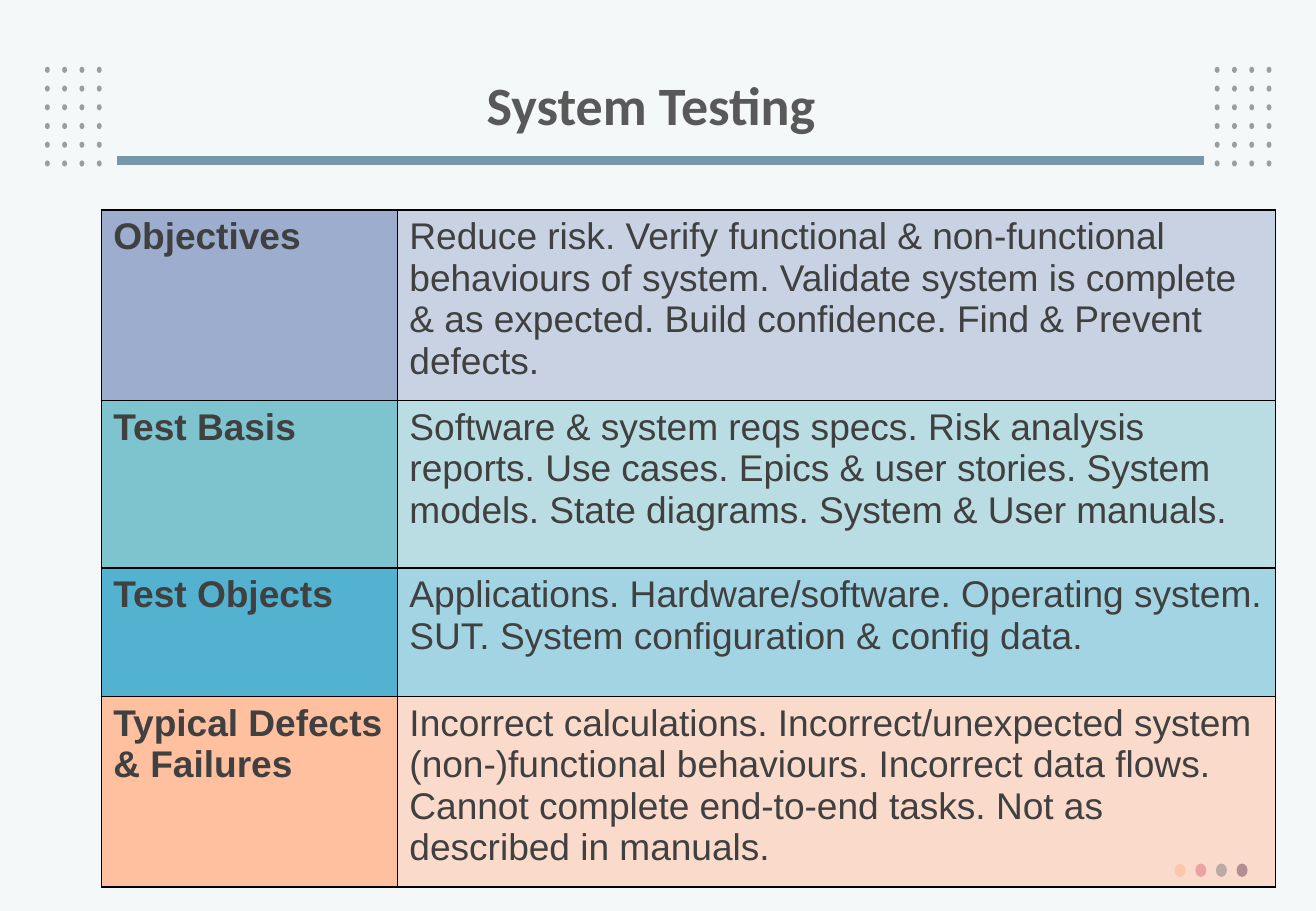
from dataclasses import dataclass
from typing import NamedTuple

from lxml.etree import SubElement
from pptx import Presentation
from pptx.dml.color import RGBColor as Rgb
from pptx.enum.shapes import MSO_CONNECTOR as Connector, MSO_SHAPE as Preset
from pptx.enum.text import MSO_ANCHOR as Anchor, PP_ALIGN as Align
from pptx.oxml.ns import qn
from pptx.slide import Slide
from pptx.table import _Cell as Cell
from pptx.text.text import _Paragraph as Paragraph
from pptx.util import Pt


@dataclass(frozen=True)
class Theme:
    background: str = "F5F8F9"
    dot: str = "9D9D9D"
    rule: str = "7897AB"
    title: str = "595959"
    body: str = "404040"
    border: str = "000000"
    title_font: str = "Calibri"
    body_font: str = "Arial"
    title_size: float = 32
    body_size: float = 22
    rule_width: float = 5.25
    border_width: float = 1
    tint_percent: int = 50


class DotGrid(NamedTuple):
    """Lengths in points; colours are cycled along each row."""
    left: float
    top: float
    columns: int
    rows: int
    step_x: float
    step_y: float
    width: float
    height: float
    colours: tuple[str, ...]


class Topic(NamedTuple):
    label: str
    detail: str
    colour: str
    height: float


THEME = Theme()
CORNER_LEFTS = (26.64, 720)
DOT_GRIDS = [
    DotGrid(left, 39.6, 4, 6, 10.25, 11.1, 2.9, 3.6, (THEME.dot,))
    for left in CORNER_LEFTS
] + [
    DotGrid(696.24, 511.9, 4, 1, 12.24, 0, 6.5, 7.9,
            ("FDCEB9", "D885A3", "7897AB", "655D8A")),
]
COLUMN_WIDTHS = (175.5, 520.5)
TOPICS = [
    Topic("Objectives",
          "Reduce risk. Verify functional & non-functional behaviours of system. "
          "Validate system is complete & as expected. Build confidence. "
          "Find & Prevent defects.", "9CADCE", 110),
    Topic("Test Basis",
          "Software & system reqs specs. Risk analysis reports. Use cases. "
          "Epics & user stories. System models. State diagrams. "
          "System & User manuals.", "7EC4CF", 99.3),
    Topic("Test Objects",
          "Applications. Hardware/software. Operating system. SUT. "
          "System configuration & config data.", "52B2CF", 76.3),
    Topic("Typical Defects & Failures",
          "Incorrect calculations. Incorrect/unexpected system "
          "(non-)functional behaviours. Incorrect data flows. "
          "Cannot complete end-to-end tasks. Not as described in manuals.",
          "FFC09F", 105.8),
]


def set_font(para: Paragraph, name: str, size: float, colour: str, bold: bool) -> None:
    para.font.name = name
    para.font.size = Pt(size)
    para.font.bold = bold
    para.font.color.rgb = Rgb.from_string(colour)


def draw_dots(page: Slide, grid: DotGrid) -> None:
    group = page.shapes.add_group_shape()
    for row in range(grid.rows):
        for column in range(grid.columns):
            dot = group.shapes.add_shape(
                Preset.OVAL,
                Pt(grid.left + column * grid.step_x), Pt(grid.top + row * grid.step_y),
                Pt(grid.width), Pt(grid.height))
            dot.shadow.inherit = False
            dot.fill.solid()
            colour = grid.colours[column % len(grid.colours)]
            dot.fill.fore_color.rgb = Rgb.from_string(colour)
            dot.line.fill.background()


def draw_rule(page: Slide) -> None:
    rule = page.shapes.add_connector(
        Connector.STRAIGHT, Pt(69.3), Pt(95), Pt(713.4), Pt(95))
    rule.line.color.rgb = Rgb.from_string(THEME.rule)
    rule.line.width = Pt(THEME.rule_width)
    SubElement(rule._element.spPr, qn("a:effectLst"))


def draw_title(page: Slide, text: str) -> None:
    box = page.shapes.add_textbox(Pt(53.3), Pt(28.8), Pt(672.5), Pt(70.6))
    frame = box.text_frame
    frame.word_wrap = True
    frame.vertical_anchor = Anchor.MIDDLE
    para = frame.paragraphs[0]
    para.text = text
    para.alignment = Align.CENTER
    para.line_spacing = 0.9
    set_font(para, THEME.title_font, THEME.title_size, THEME.title, bold=True)


def style_cell(cell: Cell, text: str, colour: str, is_label: bool) -> None:
    cell.text = text
    set_font(cell.text_frame.paragraphs[0], THEME.body_font, THEME.body_size,
             THEME.body, bold=is_label)
    # Borders come before the fill in the cell properties
    properties = cell._tc.get_or_add_tcPr()
    for side in ("L", "R", "T", "B"):
        edge = SubElement(properties, qn(f"a:ln{side}"), w=str(Pt(THEME.border_width)))
        paint = SubElement(edge, qn("a:solidFill"))
        SubElement(paint, qn("a:srgbClr"), val=THEME.border)
    cell.fill.solid()
    cell.fill.fore_color.rgb = Rgb.from_string(colour)
    if not is_label:
        tint = properties.find(f"{qn('a:solidFill')}/{qn('a:srgbClr')}")
        SubElement(tint, qn("a:alpha"), val=str(THEME.tint_percent * 1000))


def draw_table(page: Slide, topics: list[Topic]) -> None:
    table = page.shapes.add_table(
        len(topics), len(COLUMN_WIDTHS), Pt(60), Pt(124.5),
        Pt(sum(COLUMN_WIDTHS)), Pt(sum(topic.height for topic in topics))).table
    table.first_row = False
    table.horz_banding = False
    for column, width in zip(table.columns, COLUMN_WIDTHS):
        column.width = Pt(width)
    for row, topic in zip(table.rows, topics):
        row.height = Pt(topic.height)
        label, detail = row.cells
        style_cell(label, topic.label, topic.colour, is_label=True)
        style_cell(detail, topic.detail, topic.colour, is_label=False)


def main() -> None:
    deck = Presentation()
    deck.slide_width, deck.slide_height = Pt(780), Pt(540)
    page = deck.slides.add_slide(deck.slide_layouts[6])
    page.background.fill.solid()
    page.background.fill.fore_color.rgb = Rgb.from_string(THEME.background)

    # Decoration behind the content
    for grid in DOT_GRIDS:
        draw_dots(page, grid)
    draw_rule(page)

    # Content
    draw_title(page, "System Testing ")
    draw_table(page, TOPICS)
    deck.save("out.pptx")


if __name__ == "__main__":
    main()
